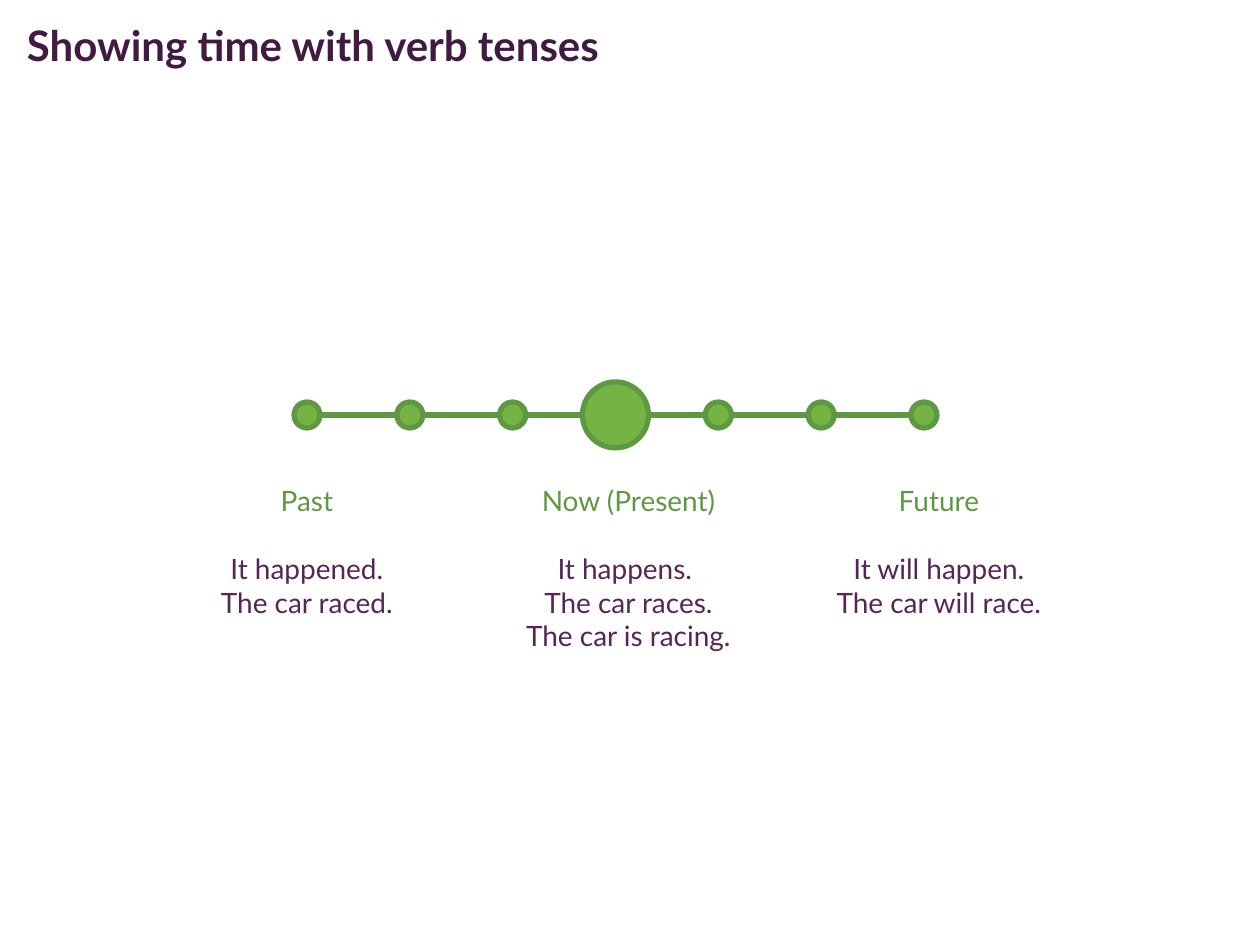
from dataclasses import dataclass

from lxml import etree
from pptx import Presentation
from pptx.dml.color import RGBColor
from pptx.enum.shapes import MSO_CONNECTOR, MSO_SHAPE
from pptx.enum.text import MSO_ANCHOR, PP_ALIGN
from pptx.oxml.ns import qn
from pptx.util import Emu, Pt

LINE = MSO_CONNECTOR.STRAIGHT
OVAL = MSO_SHAPE.OVAL
TOP, MIDDLE = MSO_ANCHOR.TOP, MSO_ANCHOR.MIDDLE
LEFT, CENTER = PP_ALIGN.LEFT, PP_ALIGN.CENTER


@dataclass(frozen=True)
class Theme:
    font: str = "Lato"
    title_size: Pt = Pt(18)
    body_size: Pt = Pt(12)
    gap: Pt = Pt(14.5)
    stroke: Pt = Pt(2.25)
    paper: RGBColor = RGBColor(0xFF, 0xFF, 0xFF)
    title: RGBColor = RGBColor(0x41, 0x1A, 0x41)
    body: RGBColor = RGBColor(0x55, 0x26, 0x56)
    edge: RGBColor = RGBColor(0x5F, 0x98, 0x42)
    dot: RGBColor = RGBColor(0x75, 0xB4, 0x43)


THEME = Theme()
SLIDE_SIZE = (1260, 945)
INSET = 17
DOTS, DOT_RADIUS, NOW_RADIUS = 7, 13, 33

# Box of each tense column, its heading and its examples
TENSES = [
    ((171, 467, 272, 133), "Past", ["It happened.", "The car raced."]),
    ((470, 467, 317, 180), "Now (Present)",
     ["It happens. ", "The car races.", "The car is racing."]),
    ((798, 467, 282, 180), "Future", ["It will happen.", "The car will race."]),
]


def px(n):
    return Emu(round(n * 914400 / 168))


def add_text_frame(s, box, anchor):
    tf = s.shapes.add_textbox(*map(px, box)).text_frame
    tf.word_wrap = True
    tf.vertical_anchor = anchor
    tf.margin_left = tf.margin_right = tf.margin_top = tf.margin_bottom = px(INSET)
    return tf


def set_paragraph(p, text, size, color, align, bold=False):
    p.text = text
    p.alignment = align
    p.font.name, p.font.size, p.font.bold = THEME.font, size, bold
    p.font.color.rgb = color


def add_title(s, box, text):
    tf = add_text_frame(s, box, MIDDLE)
    set_paragraph(tf.paragraphs[0], text, THEME.title_size, THEME.title, LEFT, bold=True)


def add_tense(s, box, heading, examples):
    tf = add_text_frame(s, box, TOP)
    set_paragraph(tf.paragraphs[0], heading, THEME.body_size, THEME.edge, CENTER)
    for i, example in enumerate(examples):
        p = tf.add_paragraph()
        set_paragraph(p, example, THEME.body_size, THEME.body, CENTER)
        if i == 0:
            p.space_before = THEME.gap


def add_dot(s, x, y, radius):
    sp = s.shapes.add_shape(OVAL, px(x - radius), px(y - radius),
                            px(2 * radius), px(2 * radius))
    sp.shadow.inherit = False
    sp.fill.solid()
    sp.fill.fore_color.rgb = THEME.dot
    sp.line.color.rgb = THEME.edge
    sp.line.width = THEME.stroke


def add_timeline(s, box):
    """Space the dots evenly across the box, with the large one for now in the middle."""
    left, top, width, height = box
    y = top + height // 2
    first, last = left + DOT_RADIUS, left + width - DOT_RADIUS
    axis = s.shapes.add_connector(LINE, px(first + DOT_RADIUS), px(y),
                                  px(left + width), px(y))
    axis.line.color.rgb = THEME.edge
    axis.line.width = THEME.stroke
    etree.SubElement(axis._element.spPr, qn("a:effectLst"))
    for i in range(DOTS):
        x = first + i * (last - first) / (DOTS - 1)
        add_dot(s, x, y, NOW_RADIUS if i == DOTS // 2 else DOT_RADIUS)


def main():
    prs = Presentation()
    prs.slide_width, prs.slide_height = map(px, SLIDE_SIZE)
    s = prs.slides.add_slide(prs.slide_layouts[6])
    s.background.fill.solid()
    s.background.fill.fore_color.rgb = THEME.paper
    add_title(s, (10, -13, 840, 115), "Showing time with verb tenses")
    for box, heading, examples in TENSES:
        add_tense(s, box, heading, examples)
    add_timeline(s, (294, 382, 643, 66))
    prs.save("out.pptx")


if __name__ == "__main__":
    main()
